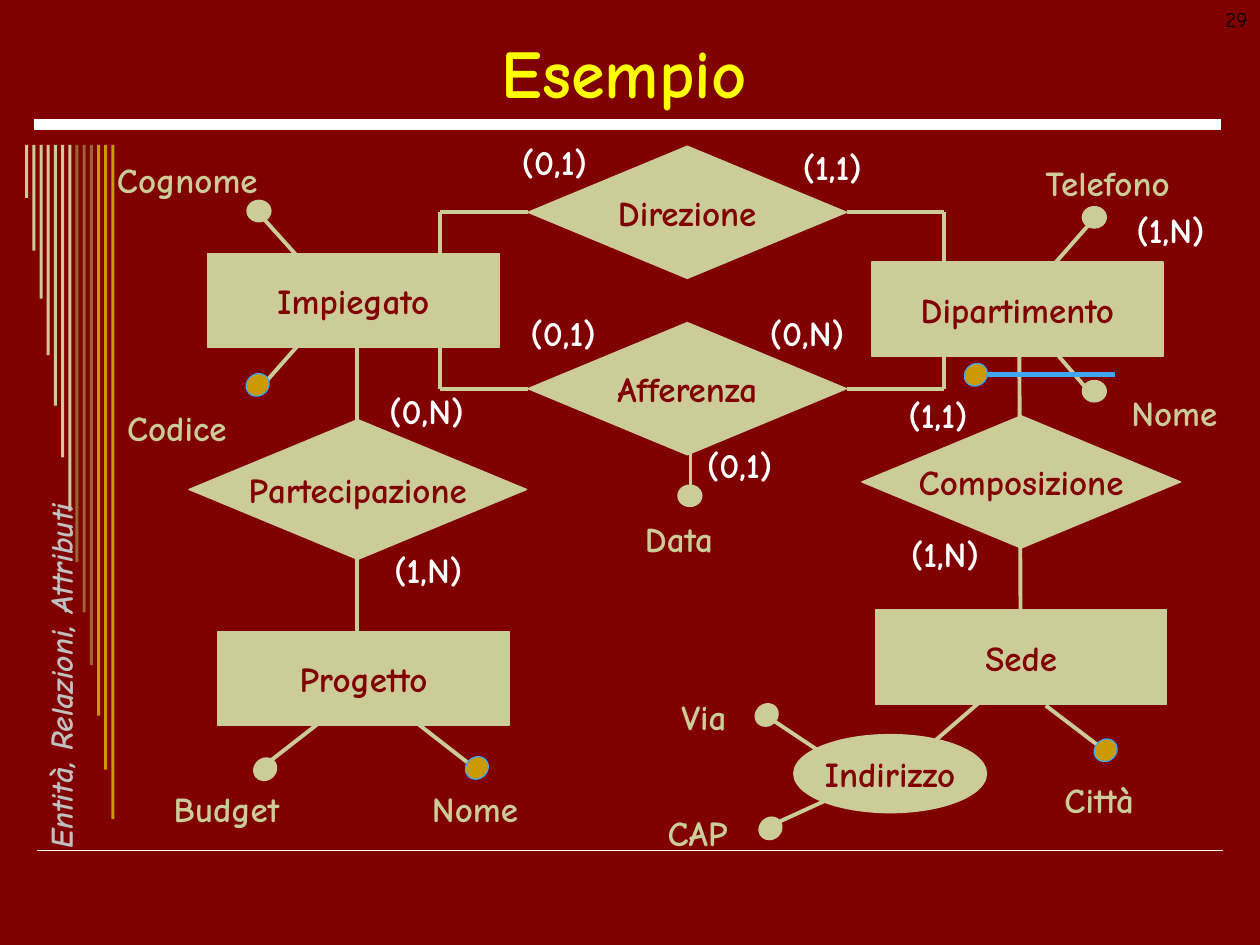
from pptx import Presentation
from pptx.dml.color import RGBColor
from pptx.enum.shapes import MSO_CONNECTOR as Connector, MSO_SHAPE as Shape
from pptx.enum.text import MSO_ANCHOR as Anchor, MSO_AUTO_SIZE as AutoSize, PP_ALIGN as Align
from pptx.oxml.ns import qn
from pptx.util import Inches, Pt
from lxml.etree import SubElement

COLUMNS, ROWS = 100, 75
WIDTH, HEIGHT = Inches(10), Inches(7.5)
FONT = "Comic Neue"
COLORS = {
    "background": "800000",
    "sand": "CCCC99",
    "brown": "996633",
    "gold": "CC9900",
    "blue": "3EA7EE",
    "white": "FFFFFF",
    "yellow": "FFFF00",
    "silver": "C0C0C0",
    "black": "000000",
}
LEFT, RIGHT = 1, 3
BOX = (23.1, 7.5)
RHOMBUS = (25.3, 10.5)
DOT = (1.7, 1.9)
LABEL_HEIGHT = 4.4
TILT = 49.2

BAR_HEIGHTS = [4.2, 8.4, 12.2, 16.7, 20.7, 24.8, 29.1, 33.1, 37.1, 41.3, 45.3, 49.6, 53.5]
BAR_COLORS = ["sand"] * 7 + ["brown"] * 3 + ["gold"] * 3

NODES = [
    ("Impiegato", Shape.RECTANGLE, 16.5, 20.1, BOX),
    ("Dipartimento", Shape.RECTANGLE, 69.2, 20.8, BOX),
    ("Progetto", Shape.RECTANGLE, 17.3, 50.1, BOX),
    ("Sede", Shape.RECTANGLE, 69.5, 48.4, BOX),
    ("Direzione", Shape.DIAMOND, 41.9, 11.6, RHOMBUS),
    ("Afferenza", Shape.DIAMOND, 41.9, 25.6, RHOMBUS),
    ("Composizione", Shape.DIAMOND, 68.4, 33, RHOMBUS),
    ("Partecipazione", Shape.DIAMOND, 15, 33.3, (26.8, 11.1)),
    ("Indirizzo", Shape.OVAL, 63, 58.3, (15.3, 6.2)),
]
CARDINALITIES = [
    ("(1,1)", 62.7, 11, 6.7),
    ("(0,1)", 40.4, 10.6, 7.2),
    ("(0,N)", 60.1, 24.2, 7.9),
    ("(0,1)", 41.1, 24.2, 7.2),
    ("(0,1)", 55.1, 34.7, 7.2),
    ("(1,1)", 71.1, 30.7, 6.7),
    ("(1,N)", 71.3, 41.7, 7.4),
    ("(0,N)", 29.9, 30.4, 7.9),
    ("(1,N)", 30.3, 43, 7.4),
    ("(1,N)", 89.2, 16, 7.4),
]
ATTRIBUTES = [
    ("Cognome", 8.3, 12.1, 13.5),
    ("Codice", 9.1, 31.8, 9.9),
    ("Telefono", 82, 12.3, 12.1),
    ("Nome", 88.8, 30.6, 9.2),
    ("Data", 50.2, 40.6, 7.5),
    ("Budget", 12.8, 62, 10.4),
    ("Nome", 33.3, 62, 9.2),
    ("Via", 53.1, 54.7, 7.3),
    ("CAP", 52, 63.9, 7.1),
    ("Città", 83.5, 61.3, 7.6),
]
BRANCHES = [
    (28.3, 27.1, 28.3, 52.2),
    (80.9, 27.5, 81, 49.7),
    (25, 21.9, 20.6, 17),
    (24.2, 26.8, 21.1, 30.3),
    (82.4, 22.4, 86.8, 17.4),
    (83.2, 27.3, 86.2, 30.8),
    (54.8, 35.9, 54.8, 38.7),
    (26.2, 56.7, 20.8, 60.9),
    (33.1, 57.4, 37.6, 60.9),
    (83, 56, 87.6, 59.5),
    (77.9, 55.6, 73.5, 59.4),
    (65.6, 60, 61.1, 57),
    (65.6, 63.5, 61, 65.6),
]
PLAIN_DOTS = [
    (19.7, 15.8, 90),
    (86, 16.3, 90),
    (86, 30.1, 90),
    (53.9, 38.4, 90),
    (20.2, 60.1, TILT),
    (60, 55.8, TILT),
    (60.3, 64.8, TILT),
]
KEY_DOTS = [(19.6, 29.6), (76.6, 28.8), (37, 60), (86.9, 58.6)]
ELBOWS = [
    ("Direzione", LEFT, 34.9, 21),
    ("Direzione", RIGHT, 74.9, 21.1),
    ("Afferenza", LEFT, 34.9, 26.7),
    ("Afferenza", RIGHT, 74.9, 26.7),
]


def across(columns):
    return round(WIDTH * columns / COLUMNS)


def down(rows):
    return round(HEIGHT * rows / ROWS)


def color(name):
    return RGBColor.from_string(COLORS[name])


def set_text(shape, text, tint, size=20, align=Align.LEFT, anchor=Anchor.TOP,
             wrap=False, bold=True, italic=False):
    frame = shape.text_frame
    frame.word_wrap = wrap
    frame.vertical_anchor = anchor
    paragraph = frame.paragraphs[0]
    paragraph.text = text
    paragraph.alignment = align
    font = paragraph.font
    font.name, font.size, font.bold, font.italic = FONT, Pt(size), bold, italic
    font.color.rgb = color(tint)


def add_text(slide, text, left, top, width, height, tint, **style):
    box = slide.shapes.add_textbox(across(left), down(top), across(width), down(height))
    set_text(box, text, tint, **style)
    return box


def add_label(slide, text, left, top, width, tint, **style):
    box = add_text(slide, text, left, top, width, LABEL_HEIGHT, tint, **style)
    box.text_frame.auto_size = AutoSize.SHAPE_TO_FIT_TEXT


def add_figure(slide, kind, left, top, size, fill, outline=None):
    width, height = size
    figure = slide.shapes.add_shape(kind, across(left), down(top), across(width), down(height))
    figure.shadow.inherit = False
    figure.fill.solid()
    figure.fill.fore_color.rgb = color(fill)
    if outline:
        figure.line.color.rgb = color(outline)
        figure.line.width = Pt(0.75)
    else:
        figure.line.fill.background()
    return figure


def add_node(slide, text, kind, left, top, size):
    node = add_figure(slide, kind, left, top, size, "sand", "sand")
    set_text(node, text, "background", align=Align.CENTER, anchor=Anchor.MIDDLE)
    return node


def add_dot(slide, left, top, rotation, fill, outline):
    add_figure(slide, Shape.OVAL, left, top, DOT, fill, outline).rotation = rotation


def add_line(slide, start_x, start_y, end_x, end_y, tint="sand", weight=2.25):
    line = slide.shapes.add_connector(
        Connector.STRAIGHT, across(start_x), down(start_y), across(end_x), down(end_y))
    line.line.color.rgb = color(tint)
    line.line.width = Pt(weight)
    SubElement(line._element.spPr, qn("a:effectLst"))
    return line


def add_frame(slide):
    add_line(slide, 2.9, 67.5, 97.1, 67.5, "white", 1)
    add_line(slide, 2.7, 9.9, 96.9, 9.9, "white", 6)
    for index, (height, tint) in enumerate(zip(BAR_HEIGHTS, BAR_COLORS)):
        add_figure(slide, Shape.RECTANGLE, 2 + 0.57 * index, 11.5, (0.24, height), tint)
    course = add_text(slide, "Entità, Relazioni, Attributi", -11, 52.1, 30, 2.4,
                      "silver", size=18, italic=True)
    course.rotation = 270
    add_text(slide, "Esempio", 3.5, 2.1, 92.1, 7.1, "yellow", size=39,
             align=Align.CENTER, anchor=Anchor.MIDDLE, wrap=True)
    add_text(slide, "29", 76.7, 0, 23.3, 5, "black", size=12,
             align=Align.RIGHT, wrap=True, bold=False)


def add_elbow(slide, diamond, side, column, row):
    middle = (diamond.top + diamond.height / 2) / HEIGHT * ROWS
    add_line(slide, column, row, column, middle)
    add_line(slide, column, middle, column, middle).end_connect(diamond, side)


def main():
    presentation = Presentation()
    presentation.slide_width, presentation.slide_height = WIDTH, HEIGHT
    slide = presentation.slides.add_slide(presentation.slide_layouts[6])
    slide.background.fill.solid()
    slide.background.fill.fore_color.rgb = color("background")
    add_frame(slide)
    for branch in BRANCHES:
        add_line(slide, *branch)
    nodes = {node[0]: add_node(slide, *node) for node in NODES}
    for name, *route in ELBOWS:
        add_elbow(slide, nodes[name], *route)
    for cardinality in CARDINALITIES:
        add_label(slide, *cardinality, "white", align=Align.CENTER, anchor=Anchor.MIDDLE)
    for attribute in ATTRIBUTES:
        add_label(slide, *attribute, "sand")
    for dot in PLAIN_DOTS:
        add_dot(slide, *dot, "sand", "sand")
    add_line(slide, 77.8, 29.7, 88.5, 29.7, "blue", 3)
    for dot in KEY_DOTS:
        add_dot(slide, *dot, TILT, "gold", "blue")
    presentation.save("out.pptx")


if __name__ == "__main__":
    main()
